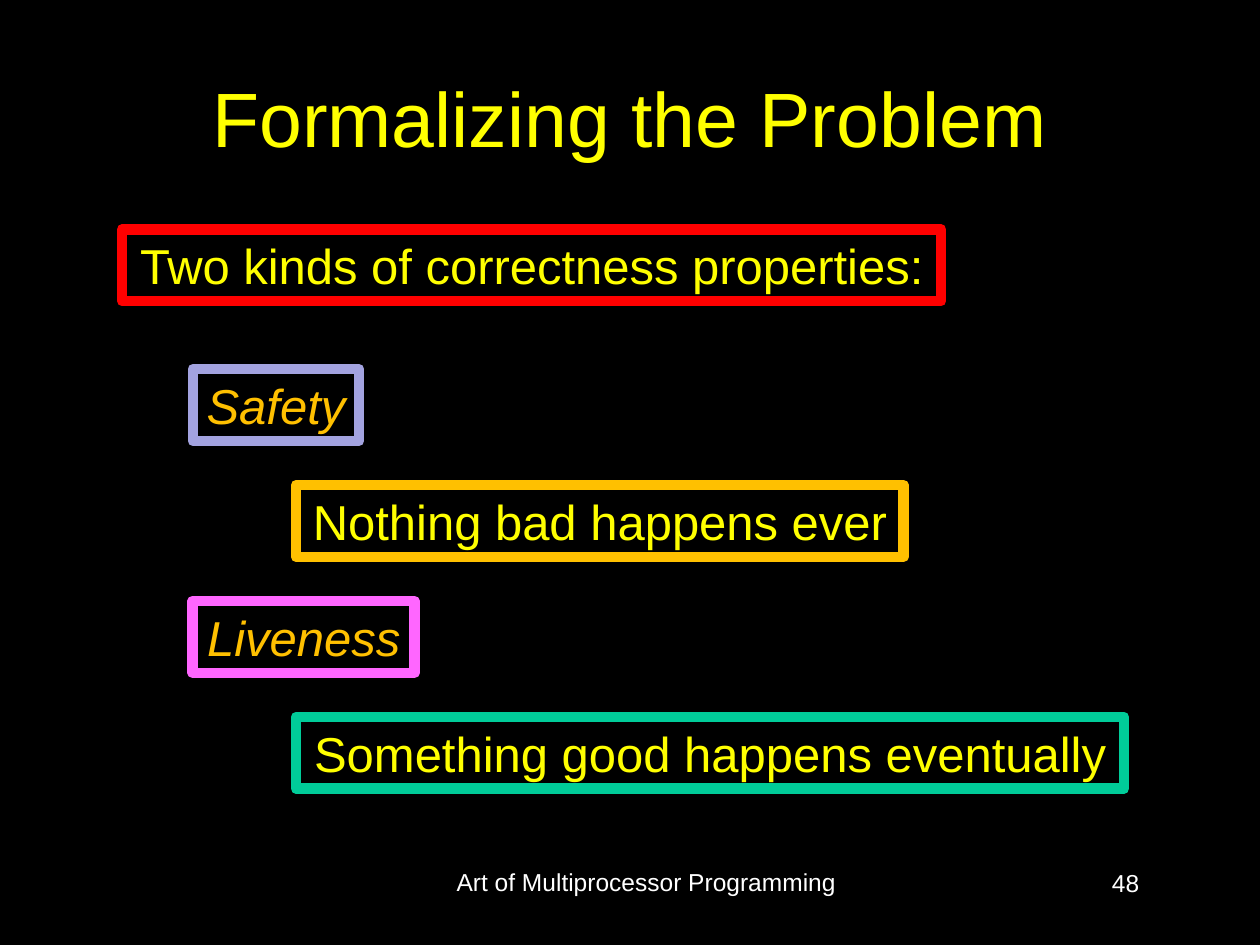
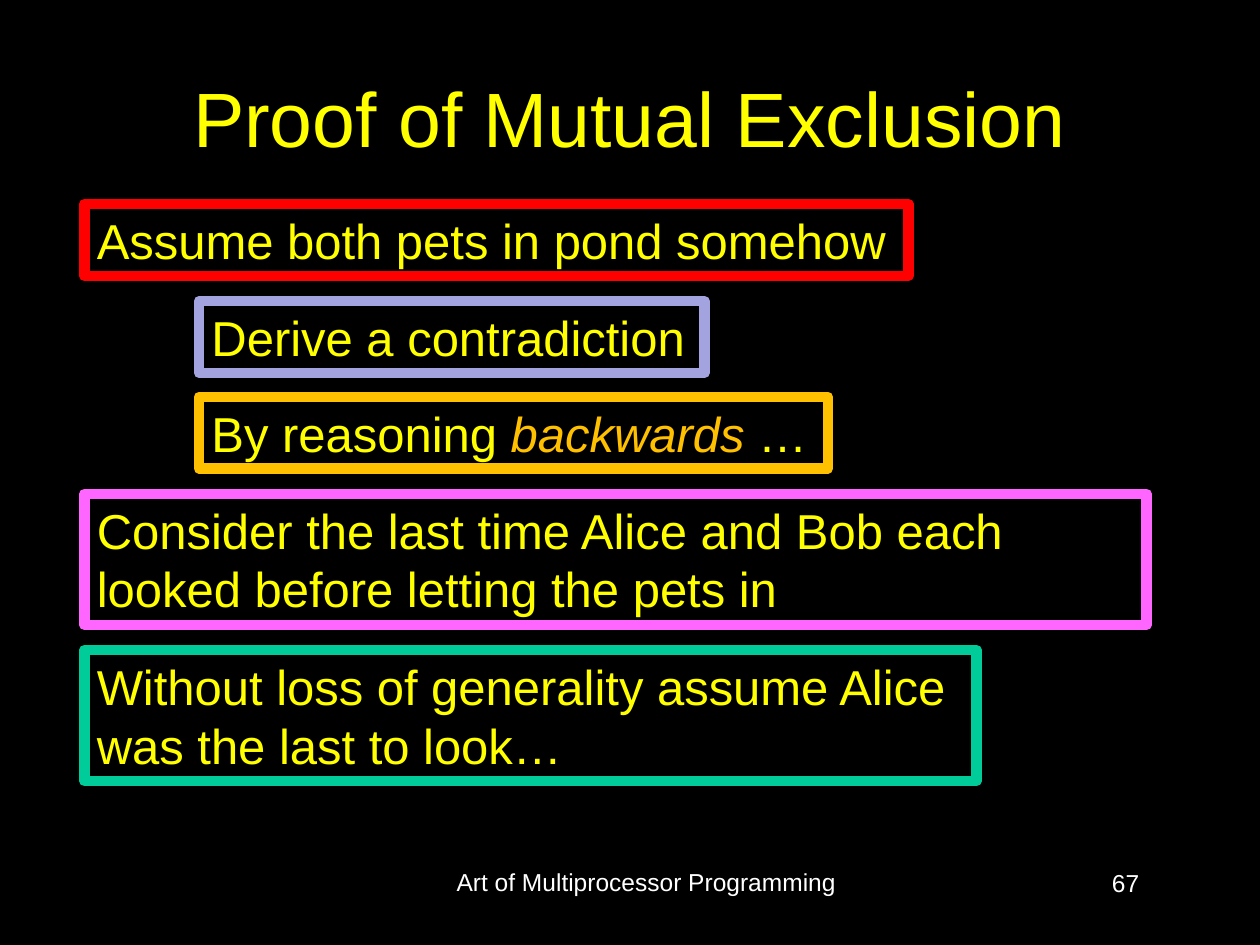
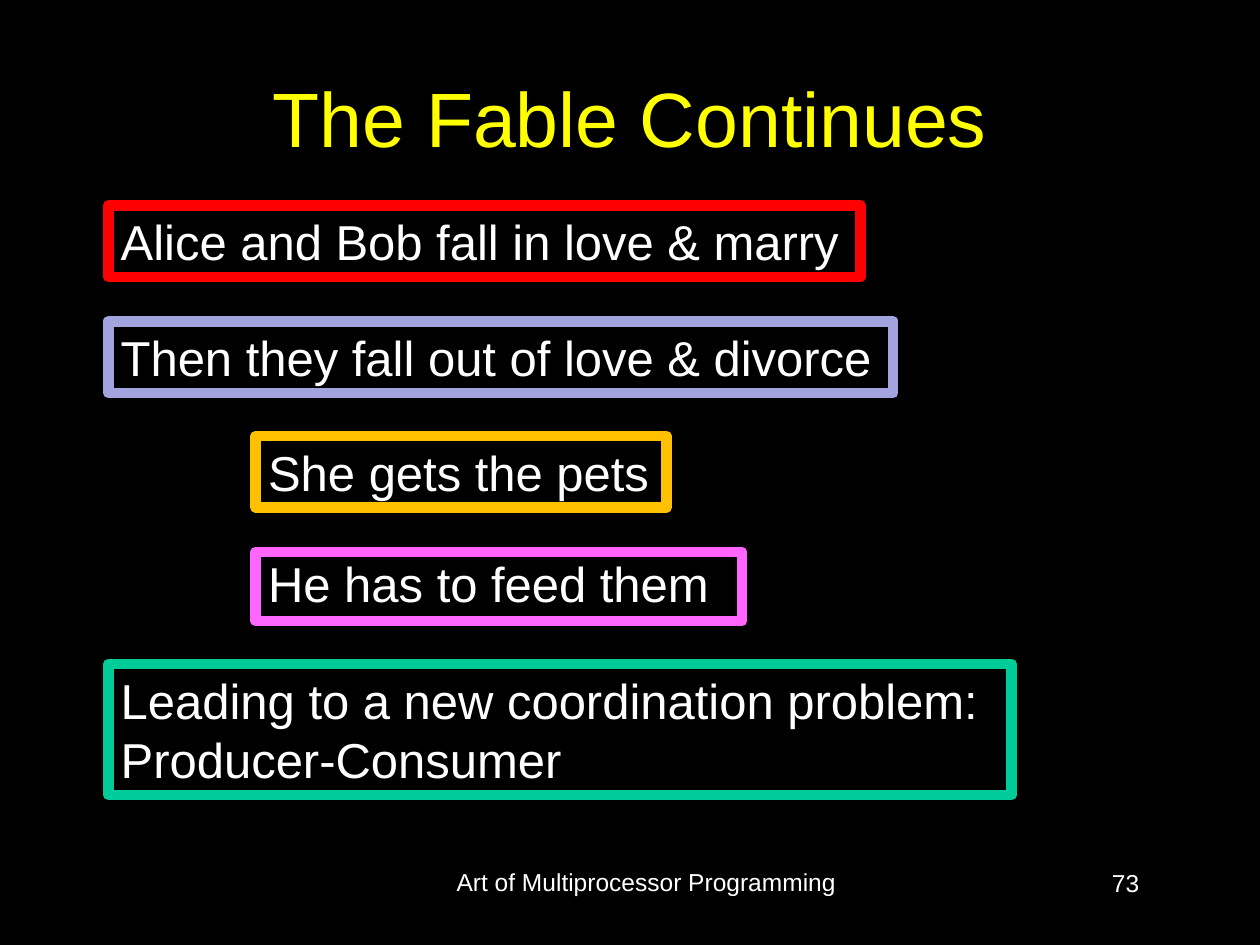
from dataclasses import dataclass

import pptx
import pptx.dml.color
import pptx.enum.shapes
import pptx.enum.text
import pptx.slide
import pptx.util

PX = pptx.util.Inches(1) // 100  # 100 px to the inch
FONT = "Arial"
BLACK, WHITE, YELLOW, AMBER = "000000", "FFFFFF", "FFFF00", "FFC000"
FRAME_COLOURS = ["FF0000", "A3A3E0", AMBER, "FF66FF", "00CC99"]
ONE_LINE, TWO_LINES = 57, 104
TITLE_ONLY = 5
ALIGN = pptx.enum.text.PP_ALIGN
FOOTER = "Art of Multiprocessor Programming"


@dataclass
class Statement:
    """A framed sentence; the part between asterisks is emphasised."""
    text: str
    left: int
    top: int
    width: int
    height: int = ONE_LINE
    wrap: bool = False
    line_spacing: float | None = None


@dataclass
class Topic:
    title: str
    number: int
    statements: list[Statement]
    colour: str = YELLOW
    align: ALIGN = ALIGN.LEFT


TOPICS = [
    Topic("Formalizing the Problem", 48, [
        Statement("Two kinds of correctness properties:", 97, 182, 650),
        Statement("*Safety*", 153, 293, 132),
        Statement("Nothing bad happens ever", 235, 385, 482),
        Statement("*Liveness*", 153, 477, 176),
        Statement("Something good happens eventually", 235, 569, 657),
    ], align=ALIGN.CENTER),
    Topic("Proof of Mutual Exclusion", 67, [
        Statement("Assume both pets in pond somehow", 67, 162, 654),
        Statement("Derive a contradiction", 158, 239, 401),
        Statement("By reasoning *backwards* …", 158, 315, 499),
        Statement("Consider the last time Alice and Bob each looked before letting the pets in",
                  67, 392, 843, TWO_LINES, wrap=True),
        Statement("Without loss of generality assume Alice was the last to look…",
                  67, 516, 708, TWO_LINES, wrap=True),
    ]),
    Topic("The Fable Continues", 73, [
        Statement("Alice and Bob fall in love & marry", 86, 163, 597),
        Statement("Then they fall out of love & divorce", 86, 255, 623),
        Statement("She gets the pets", 203, 346, 326),
        Statement("He has to feed them", 203, 438, 386, 55, wrap=True, line_spacing=0.95),
        Statement("Leading to a new coordination problem: Producer-Consumer",
                  86, 527, 717, TWO_LINES, wrap=True),
    ], colour=WHITE),
]


def rgb(colour: str) -> pptx.dml.color.RGBColor:
    return pptx.dml.color.RGBColor.from_string(colour)


def scaled(*lengths: int) -> list[int]:
    return [length * PX for length in lengths]


def write(frame, text: str, size: int, colour: str, align: ALIGN) -> None:
    """Fill a text frame, with every second span between asterisks emphasised."""
    para = frame.paragraphs[0]
    para.alignment = align
    para.font.name = FONT
    para.font.size = pptx.util.Pt(size)
    para.font.color.rgb = rgb(colour)
    for index, part in enumerate(text.split("*")):
        if part:
            span = para.add_run()
            span.text = part
            if index % 2:
                span.font.italic = True
                span.font.color.rgb = rgb(AMBER)


def add_title(page: pptx.slide.Slide, text: str) -> None:
    title = page.shapes.title
    title.left, title.top, title.width, title.height = scaled(50, 30, 900, 125)
    title.text_frame.vertical_anchor = pptx.enum.text.MSO_ANCHOR.MIDDLE
    write(title.text_frame, text, 44, YELLOW, ALIGN.CENTER)


def add_footer(page: pptx.slide.Slide, number: int) -> None:
    for text, place, align in (
        (str(number), (706, 684, 208, 50), ALIGN.RIGHT),
        (FOOTER, (342, 683, 342, 52), ALIGN.CENTER),
    ):
        box = page.shapes.add_textbox(*scaled(*place))
        box.text_frame.word_wrap = True
        write(box.text_frame, text, 14, WHITE, align)


def add_statement(page: pptx.slide.Slide, statement: Statement, frame_colour: str,
                  topic: Topic) -> None:
    box = page.shapes.add_shape(
        pptx.enum.shapes.MSO_SHAPE.RECTANGLE,
        *scaled(statement.left, statement.top, statement.width, statement.height))
    box.shadow.inherit = False
    box.fill.solid()
    box.fill.fore_color.rgb = rgb(BLACK)
    box.line.color.rgb = rgb(frame_colour)
    box.line.width = pptx.util.Pt(6)
    frame = box.text_frame
    frame.word_wrap = statement.wrap
    frame.auto_size = pptx.enum.text.MSO_AUTO_SIZE.SHAPE_TO_FIT_TEXT
    frame.vertical_anchor = pptx.enum.text.MSO_ANCHOR.TOP
    if statement.line_spacing:
        frame.paragraphs[0].line_spacing = statement.line_spacing
    write(frame, statement.text, 28, topic.colour, topic.align)


def main() -> None:
    deck = pptx.Presentation()
    deck.slide_width, deck.slide_height = scaled(1000, 750)
    background = deck.slide_master.background.fill
    background.solid()
    background.fore_color.rgb = rgb(BLACK)
    for topic in TOPICS:
        page = deck.slides.add_slide(deck.slide_layouts[TITLE_ONLY])
        add_title(page, topic.title)
        add_footer(page, topic.number)
        for statement, frame_colour in zip(topic.statements, FRAME_COLOURS):
            add_statement(page, statement, frame_colour, topic)
    deck.save("out.pptx")


if __name__ == "__main__":
    main()
